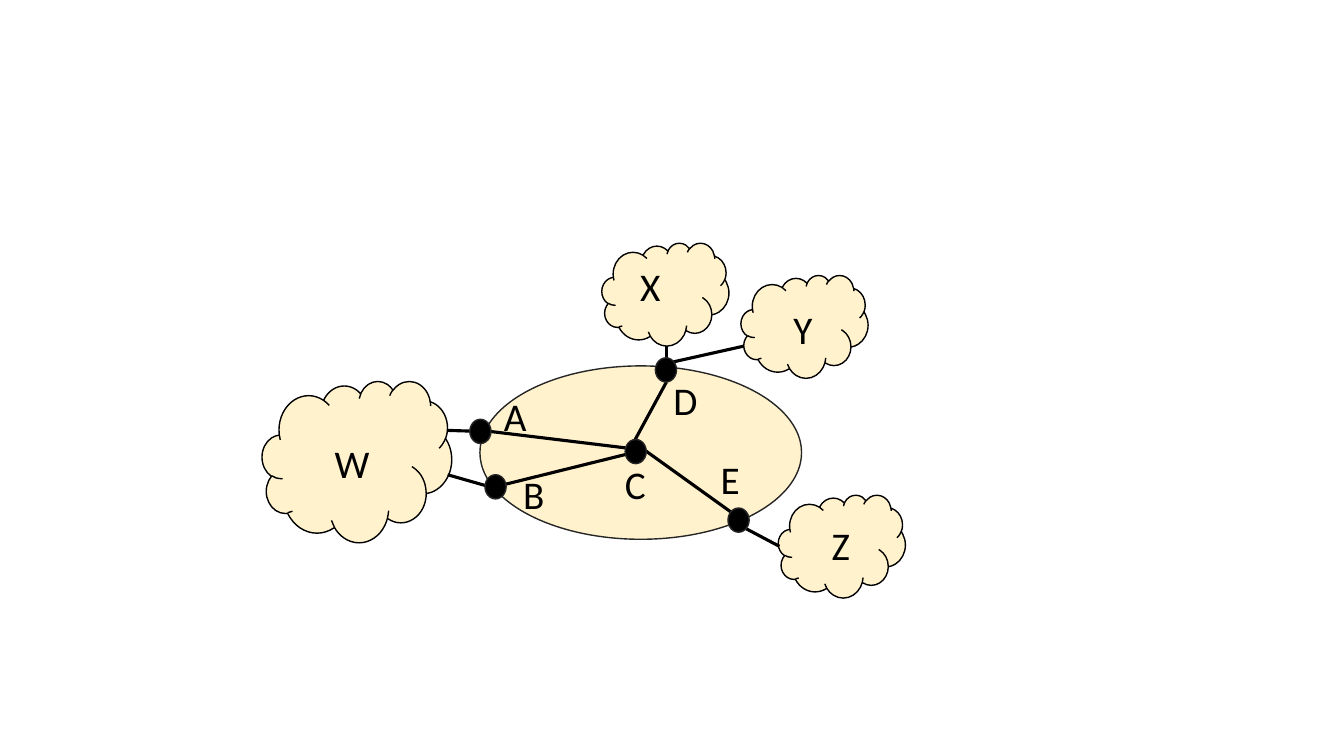
import pptx
from dataclasses import dataclass
from lxml import etree
from pptx.dml.color import RGBColor
from pptx.enum.shapes import MSO_CONNECTOR, MSO_SHAPE
from pptx.enum.text import MSO_ANCHOR
from pptx.oxml.ns import qn
from pptx.util import Inches, Pt


@dataclass(frozen=True)
class Theme:
    area: RGBColor = RGBColor(0xFF, 0xF2, 0xCC)
    ink: RGBColor = RGBColor(0, 0, 0)
    edge: RGBColor = RGBColor(0x26, 0x26, 0x26)
    font: str = "Calibri"
    label_size: float = 28
    outline_width: float = 1
    link_width: float = 2.25


THEME = Theme()
ROUTER_SIZE = (0.21, 0.24)
SMALL_CLOUD = (1.26, 1.02)

# Provider network in the middle: left, top, width, height
PROVIDER = (4.76, 3.63, 3.19, 1.72)

# Customer networks W, X, Y, Z
CUSTOMERS = [
    (2.6, 3.78, 1.88, 1.6),
    (5.97, 2.41, *SMALL_CLOUD),
    (7.35, 2.73, *SMALL_CLOUD),
    (7.72, 4.91, *SMALL_CLOUD),
]

# Left and top of routers A, B, C, D, E
ROUTERS = [(4.66, 4.16), (4.81, 4.71), (6.2, 4.36), (6.5, 3.55), (7.22, 5.04)]

# Links as x1, y1, x2, y2; the link to Y runs behind its cloud
LINK_D_Y = (6.68, 3.59, 7.44, 3.42)
LINKS = [
    (4.44, 4.27, 4.76, 4.28),  # W-A
    (4.44, 4.71, 4.86, 4.83),  # W-B
    (6.26, 4.45, 4.86, 4.28),  # C-A
    (6.24, 4.5, 4.95, 4.82),   # C-B
    (6.3, 4.36, 6.61, 3.79),   # C-D
    (6.4, 4.47, 7.25, 5.08),   # C-E
    (6.61, 3.55, 6.61, 3.43),  # D-X
    (7.39, 5.24, 7.73, 5.42),  # E-Z
]

LABELS = {
    "W": (3.22, 4.36, 0.89, 0.53),
    "X": (6.25, 2.61, 0.6, 0.34),
    "Y": (7.77, 3.03, 0.6, 0.34),
    "Z": (8.15, 5.18, 0.54, 0.41),
    "A": (4.9, 3.9, 0.5, 0.51),
    "B": (5.09, 4.67, 0.5, 0.51),
    "C": (6.1, 4.57, 0.5, 0.51),
    "D": (6.58, 3.74, 0.45, 0.44),
    "E": (7.05, 4.52, 0.52, 0.48),
}


def apply_format(target, values):
    for name, value in values.items():
        setattr(target, name, value)


def add_node(slide, kind, box, fill, edge):
    node = slide.shapes.add_shape(kind, *map(Inches, box))
    node.shadow.inherit = False
    node.fill.solid()
    node.fill.fore_color.rgb = fill
    node.line.color.rgb = edge
    node.line.width = Pt(THEME.outline_width)


def add_link(slide, ends):
    link = slide.shapes.add_connector(MSO_CONNECTOR.STRAIGHT, *map(Inches, ends))
    link.line.color.rgb = THEME.ink
    link.line.width = Pt(THEME.link_width)
    etree.SubElement(link._element.spPr, qn("a:effectLst"))


def add_label(slide, text, box):
    frame = slide.shapes.add_textbox(*map(Inches, box)).text_frame
    apply_format(frame, {"word_wrap": True, "vertical_anchor": MSO_ANCHOR.TOP})
    paragraph = frame.paragraphs[0]
    apply_format(paragraph, {"line_spacing": 0.9, "space_before": Pt(10)})
    run = paragraph.add_run()
    run.text = text
    apply_format(run.font, {"name": THEME.font, "size": Pt(THEME.label_size)})
    run.font.color.rgb = THEME.ink


def main():
    deck = pptx.Presentation()
    apply_format(deck, {"slide_width": Inches(13.33), "slide_height": Inches(7.5)})
    slide = deck.slides.add_slide(deck.slide_layouts[6])

    # Networks
    add_link(slide, LINK_D_Y)
    add_node(slide, MSO_SHAPE.OVAL, PROVIDER, THEME.area, THEME.edge)
    for box in CUSTOMERS:
        add_node(slide, MSO_SHAPE.CLOUD, box, THEME.area, THEME.ink)

    # Links and the routers that join them
    for ends in LINKS:
        add_link(slide, ends)
    for corner in ROUTERS:
        add_node(slide, MSO_SHAPE.OVAL, corner + ROUTER_SIZE, THEME.ink, THEME.edge)

    # Names of networks and routers
    for text, box in LABELS.items():
        add_label(slide, text, box)

    deck.save("out.pptx")


if __name__ == "__main__":
    main()
